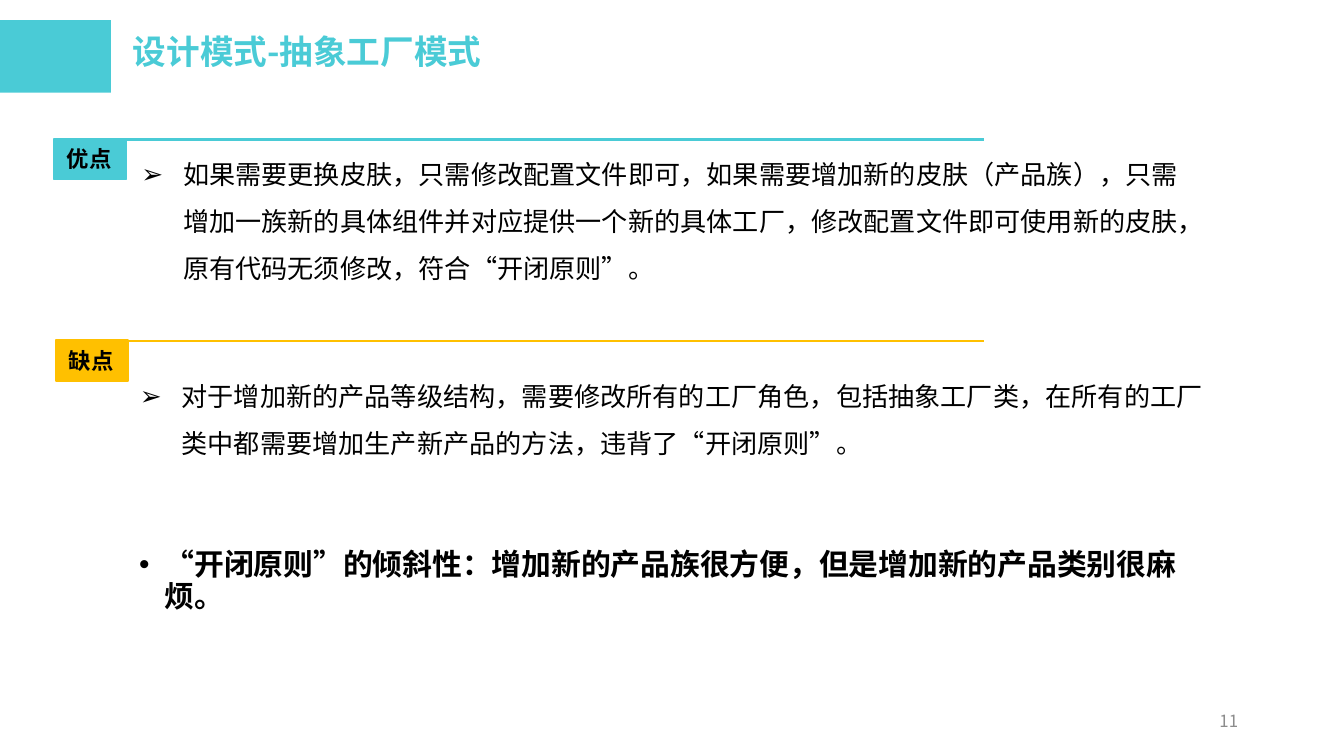
from lxml import etree as et
from pptx import Presentation, util as u
from pptx.dml.color import RGBColor
from pptx.enum import shapes, text
from pptx.oxml import ns

TEAL = RGBColor(0x4A, 0xCB, 0xD6)
GOLD = RGBColor(0xFF, 0xC0, 0x00)
BLACK = RGBColor(0x00, 0x00, 0x00)
GRAY = RGBColor(0x8C, 0x8C, 0x8C)
NOTO = "Noto Sans CJK SC"

deck = Presentation()
deck.slide_width = u.Inches(10)
deck.slide_height = deck.slide_width * 9 // 16
slide = deck.slides.add_slide(deck.slide_layouts[6])
parts = slide.shapes


def grid(*spans):
    units = (deck.slide_width / 100, deck.slide_height / 100)
    return [round(n * units[i % 2]) for i, n in enumerate(spans)]


def write(box, words, size, color=BLACK, bold=False, face=NOTO, mark=None,
          dent=0, space=1.0, align=text.PP_ALIGN.LEFT,
          anchor=text.MSO_ANCHOR.TOP, wrap=True):
    frame = box.text_frame
    frame.word_wrap = wrap
    frame.vertical_anchor = anchor
    para = frame.paragraphs[0]
    if mark:
        props = para._p.get_or_add_pPr()
        props.set("marL", str(u.Inches(dent)))
        props.set("indent", str(-u.Inches(dent)))
        et.SubElement(props, ns.qn("a:buFont"), typeface="Arial")
        et.SubElement(props, ns.qn("a:buChar"), char=mark)
    para.alignment = align
    para.line_spacing = space
    run = para.add_run()
    run.text = words
    font = run.font
    font.name = face
    font.size = u.Pt(size)
    font.bold = bold
    font.color.rgb = color
    et.SubElement(run._r.get_or_add_rPr(), ns.qn("a:ea"), typeface=NOTO)


block = parts.add_shape(shapes.MSO_SHAPE.RECTANGLE, *grid(0, 2.67, 8.25, 9.6))
block.shadow.inherit = False
block.fill.solid()
block.fill.fore_color.rgb = TEAL
block.line.fill.background()

title = parts.add_textbox(*grid(8.9, 4.2, 40.2, 8.2))
write(title, "设计模式-抽象工厂模式", 18, TEAL, bold=True, space=0.8)

points = [
    ("优点", TEAL, 4, 18.35, (9.54, 18, 80.2, 20.6), NOTO,
     "如果需要更换皮肤，只需修改配置文件即可，如果需要增加新的皮肤（产品族），"
     "只需增加一族新的具体组件并对应提供一个新的具体工厂，"
     "修改配置文件即可使用新的皮肤，原有代码无须修改，符合“开闭原则”。"),
    ("缺点", GOLD, 4.14, 45, (9.43, 47.37, 81.7, 14.4), "Lato",
     "对于增加新的产品等级结构，需要修改所有的工厂角色，包括抽象工厂类，"
     "在所有的工厂类中都需要增加生产新产品的方法，违背了“开闭原则”。"),
]
for name, color, left, top, area, face, words in points:
    body = parts.add_textbox(*grid(*area))
    write(body, words, 14, face=face, mark="➢", dent=0.31, space=1.5)

    tag = parts.add_shape(shapes.MSO_SHAPE.RECTANGLE,
                          *grid(left, top, 5.4, 5.4))
    tag.shadow.inherit = False
    tag.fill.solid()
    tag.fill.fore_color.rgb = color
    tag.line.color.rgb = color
    tag.line.width = u.Pt(1)
    write(tag, name, 12, bold=True, wrap=False)

    rule = parts.add_connector(shapes.MSO_CONNECTOR.STRAIGHT,
                               *grid(9.4, top + 0.1, 73.2, top + 0.1))
    rule.line.color.rgb = color
    rule.line.width = u.Pt(1.5)
    et.SubElement(rule._element.spPr, ns.qn("a:effectLst"))

note = parts.add_textbox(*grid(9.36, 71.85, 80.9, 6.4))
write(note, "“开闭原则”的倾斜性：增加新的产品族很方便，但是增加新的产品类别很麻烦。",
      16, bold=True, mark="•", dent=0.19, space=0.9)

page = parts.add_textbox(*grid(70.6, 92.7, 22.5, 5.3))
write(page, "11", 9, GRAY, align=text.PP_ALIGN.RIGHT,
      anchor=text.MSO_ANCHOR.MIDDLE)

deck.save("out.pptx")
